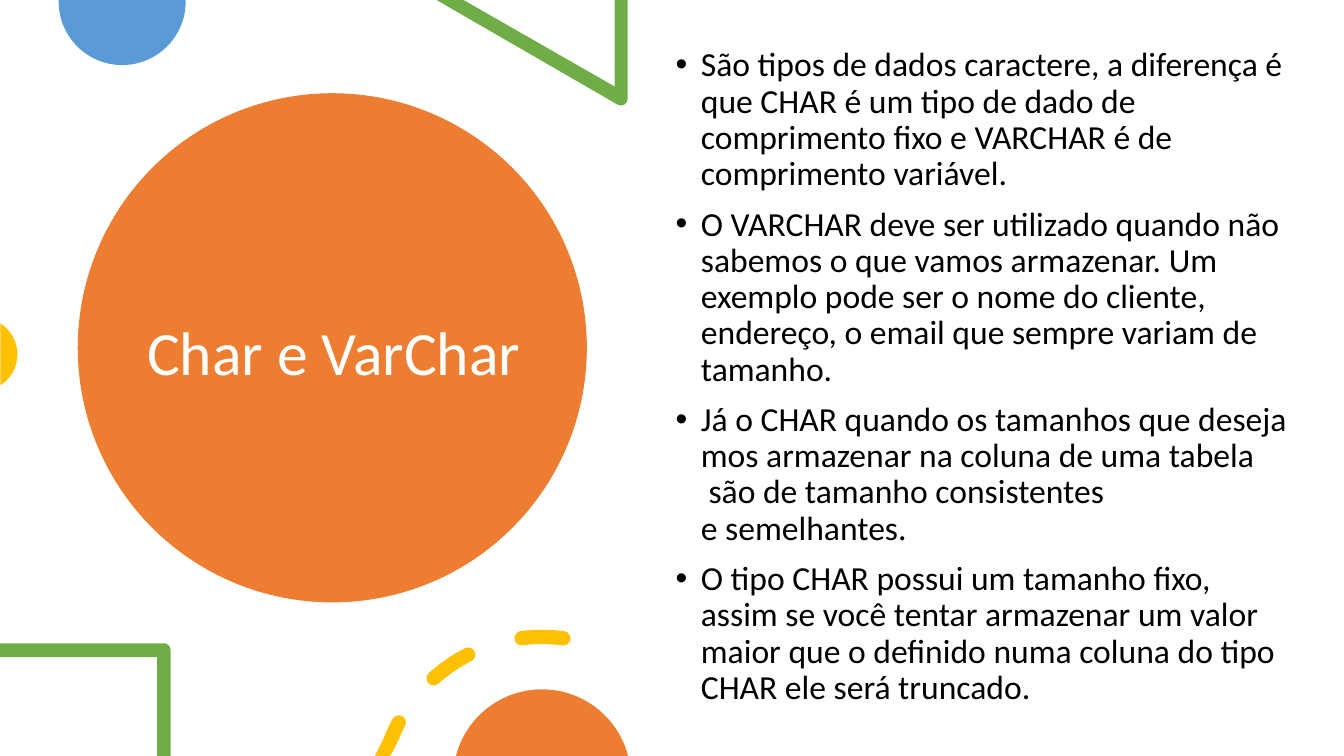
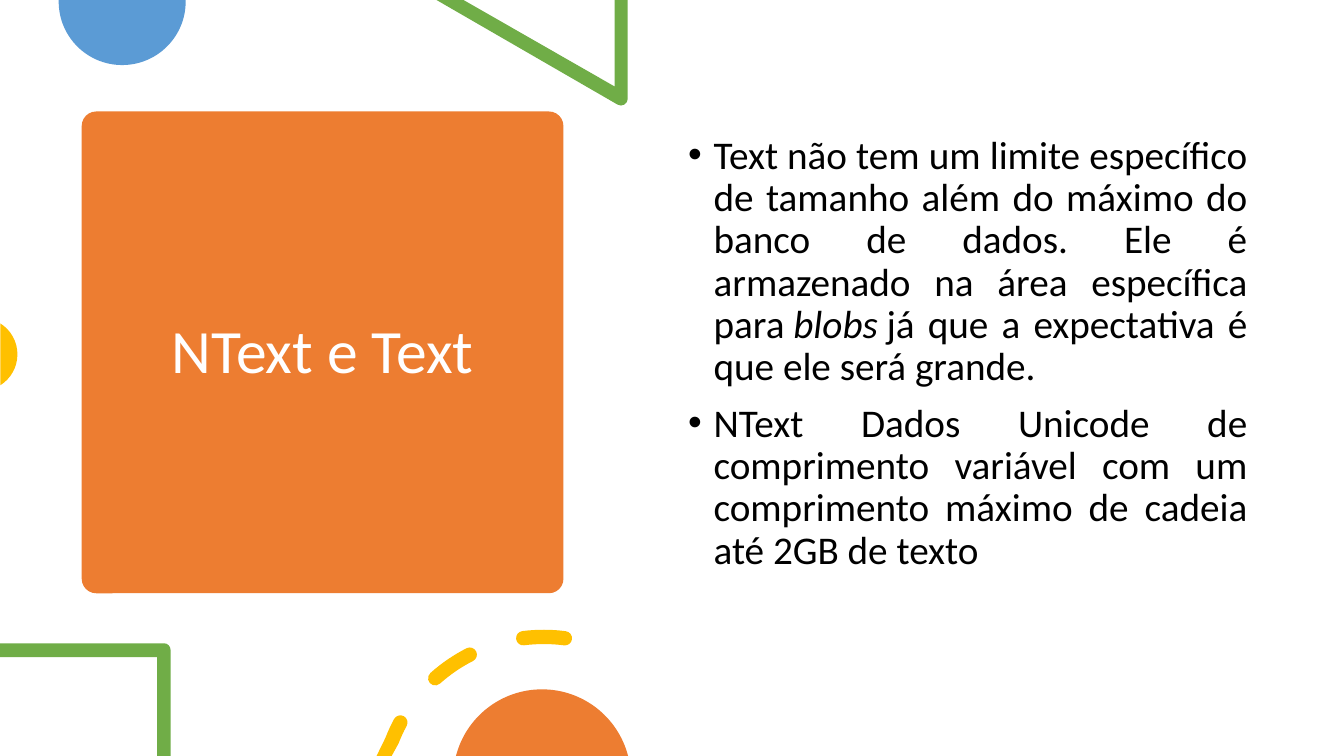
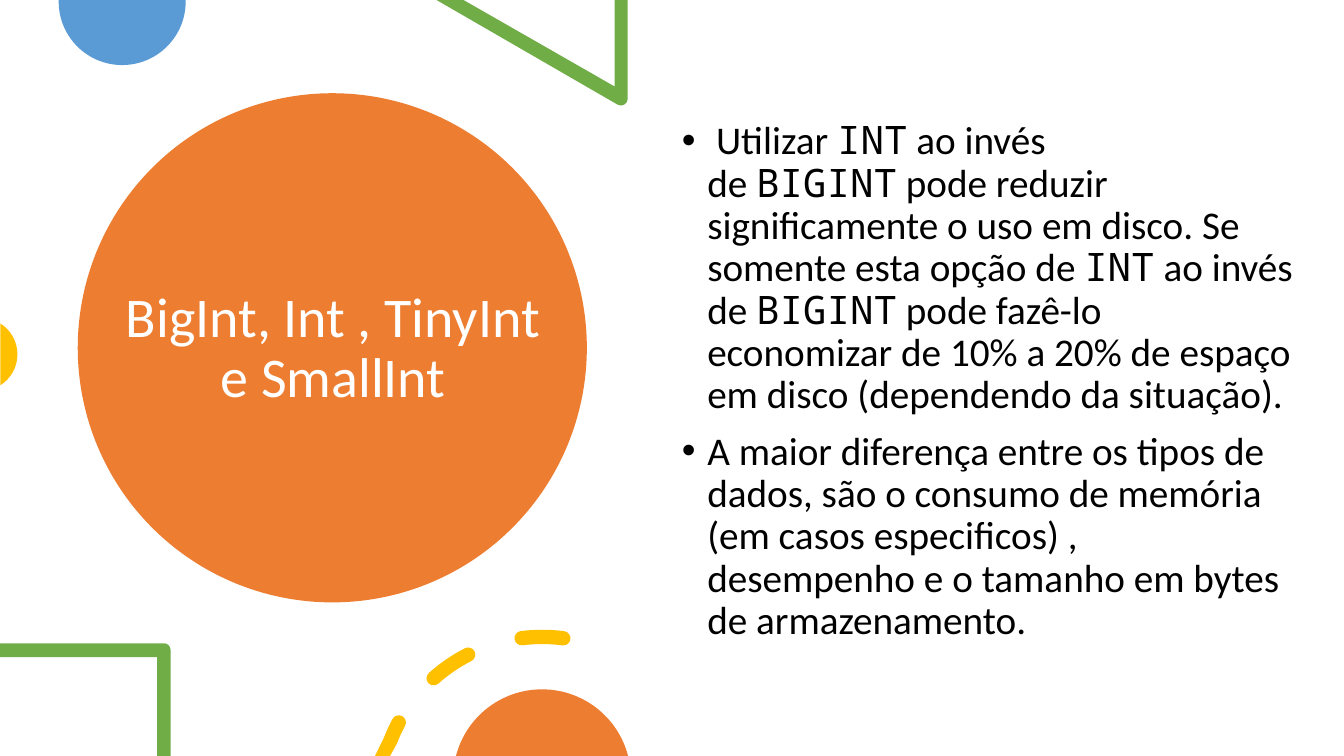
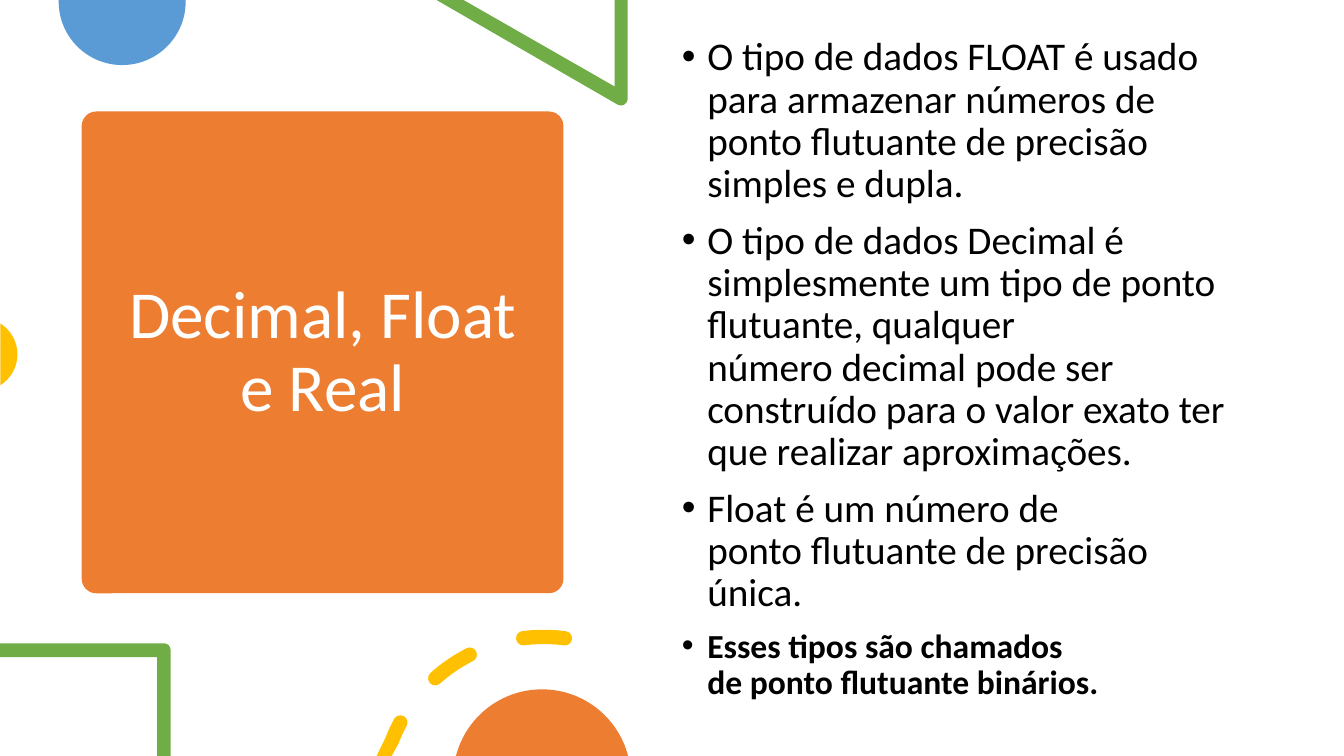
import math
from dataclasses import dataclass

import pptx
import pptx.dml.color
import pptx.enum.shapes
import pptx.enum.text
import pptx.oxml
import pptx.oxml.ns
import pptx.util
from pptx.util import Cm

Point = tuple[float, float]
Stroke = list[Point]  # one point for a line, three for a Bézier curve
Contour = list[Stroke]
RGB = pptx.dml.color.RGBColor
SHAPE = pptx.enum.shapes.MSO_SHAPE
ALIGN = pptx.enum.text.PP_ALIGN


# Theme: colours, fonts and type sizes
@dataclass(frozen=True)
class Theme:
    orange: RGB = RGB(0xED, 0x7D, 0x31)
    blue: RGB = RGB(0x5B, 0x9B, 0xD5)
    green: RGB = RGB(0x70, 0xAD, 0x47)
    yellow: RGB = RGB(0xFF, 0xC0, 0x00)
    white: RGB = RGB(0xFF, 0xFF, 0xFF)
    black: RGB = RGB(0x00, 0x00, 0x00)
    font: str = "Calibri"
    code_font: str = "Noto Sans Mono"
    title_large: int = 48
    title_normal: int = 44
    title_small: int = 40
    body_large: int = 28
    body_normal: int = 24
    line_spacing: float = 0.9
    space_before: int = 10
    bullet_indent: float = 0.64


THEME = Theme()


# Content model, lengths in centimetres
@dataclass(frozen=True)
class Box:
    left: float
    top: float
    width: float
    height: float

    def lengths(self) -> tuple[int, int, int, int]:
        return Cm(self.left), Cm(self.top), Cm(self.width), Cm(self.height)


@dataclass(frozen=True)
class Words:
    text: str  # "~" stands for a non-breaking space
    code: bool = False
    italic: bool = False
    bold: bool = False
    size: int | None = None


@dataclass(frozen=True)
class Panel:
    preset: int
    box: Box
    dash_shift: float = 0


@dataclass(frozen=True)
class Lesson:
    title: str
    title_size: int
    title_box: Box
    panel: Panel
    body_box: Box
    body_size: int
    bullets: list[list[Words]]
    align: int = ALIGN.LEFT


@dataclass(frozen=True)
class Ornament:
    colour: RGB
    contours: list[Contour]


# Outlines
def lines(*points: Point) -> Contour:
    return [[point] for point in points]


def arc(x: float, y: float, radius: float, start: float, end: float) -> Contour:
    """Arc as Bézier curves; angles in degrees, clockwise from the right."""
    count = math.ceil(abs(end - start) / 90)
    step = math.radians(end - start) / count
    pull = 4 / 3 * math.tan(step / 4)

    def at(angle: float, tangent: float) -> Point:
        across, down = math.cos(angle), math.sin(angle)
        return x + radius * (across - tangent * down), y + radius * (down + tangent * across)

    first = math.radians(start)
    contour = lines(at(first, 0))
    for i in range(count):
        a, b = first + i * step, first + (i + 1) * step
        contour.append([at(a, pull), at(b, -pull), at(b, 0)])
    return contour


def join(*parts: Contour) -> Contour:
    """Chain parts, dropping the start of a part that continues the one before."""
    contour: Contour = []
    for part in parts:
        meets = contour and math.dist(contour[-1][-1], part[0][0]) < 0.01
        contour += part[1:] if meets else part
    return contour


def ring_dash(x: float, start: float, end: float, runs_off: bool = False) -> Contour:
    """Round-ended dash of the yellow ring, or one that runs off the slide's bottom."""
    y, radius, half = 20.15, 4.1, 0.18

    def cap(angle: float, turn: float) -> Contour:
        a = math.radians(angle)
        centre = x + radius * math.cos(a), y + radius * math.sin(a)
        return arc(*centre, half, angle + turn, angle + turn + 180)

    dash = join(
        arc(x, y, radius + half, start, end),
        cap(end, 0),
        arc(x, y, radius - half, end, start),
    )
    tail = lines((x - 3.83, 19.05), (x - 4.21, 19.05)) if runs_off else cap(start, 180)
    return join(dash, tail)


def ornaments(dash_shift: float) -> list[Ornament]:
    ring_x = 13.66 + dash_shift
    triangle = join(
        lines((15.82, 0), (15.49, 0), (15.49, 2.18), (11.68, 0), (11, 0)),
        arc(15.65, 2.49, 0.17, 120, 0),
    )
    square = join(
        lines((0, 16.56), (0, 16.21)),
        arc(4.13, 16.38, 0.17, -90, 0),
        lines((4.3, 19.05), (3.96, 19.05), (3.96, 16.56)),
    )
    dashes = [
        ring_dash(ring_x, 201.2, 208.3, runs_off=True),
        ring_dash(ring_x, 228.2, 243),
        ring_dash(ring_x, 262.8, 277.5),
    ]
    blue_disc = join(lines((1.48, 0), (4.68, 0)), arc(3.08, 0.04, 1.6, 0, 180))
    return [
        Ornament(THEME.blue, [blue_disc]),
        Ornament(THEME.green, [triangle]),
        Ornament(THEME.yellow, [arc(-0.48, 8.93, 0.92, -58, 58)]),
        Ornament(THEME.green, [square]),
        Ornament(THEME.yellow, dashes),
        Ornament(THEME.orange, [arc(13.66, 19.61, 2.24, 194.5, 345.5)]),
    ]


# Drawing functions
def paint(shape, colour: RGB) -> None:
    shape.shadow.inherit = False
    shape.fill.solid()
    shape.fill.fore_color.rgb = colour
    shape.line.fill.background()


def bend(shape, contours: list[Contour]) -> None:
    """Turn the segments through each curve's control points into that curve."""
    qn = pptx.oxml.ns.qn
    segments = iter(list(shape.element.iter(qn("a:lnTo"))))
    for contour in contours:
        for stroke in contour[1:]:
            first, *others = [next(segments) for _ in stroke]
            if others:
                first.tag = qn("a:cubicBezTo")
            for segment in others:
                first.append(segment[0])
                segment.getparent().remove(segment)


def draw_ornament(slide, ornament: Ornament) -> None:
    builder = None
    for contour in ornament.contours:
        first, *rest = [(Cm(x), Cm(y)) for stroke in contour for x, y in stroke]
        if builder is None:
            builder = slide.shapes.build_freeform(*first)
        else:
            builder.move_to(*first)
        builder.add_line_segments(rest, close=True)
    shape = builder.convert_to_shape()
    bend(shape, ornament.contours)
    paint(shape, ornament.colour)


def place(placeholder, box: Box, anchor: int):
    placeholder.left, placeholder.top, placeholder.width, placeholder.height = box.lengths()
    frame = placeholder.text_frame
    frame.word_wrap = True
    frame.auto_size = pptx.enum.text.MSO_AUTO_SIZE.NONE
    frame.vertical_anchor = anchor
    return frame


def add_words(paragraph, words: Words, size: int, colour: RGB) -> None:
    run = paragraph.add_run()
    run.text = words.text.replace("~", "\u00a0")
    run.font.name = THEME.code_font if words.code else THEME.font
    run.font.size = pptx.util.Pt(words.size or size)
    run.font.color.rgb = colour
    run.font.bold = words.bold
    run.font.italic = words.italic


def set_bullet(paragraph) -> None:
    properties = paragraph._p.get_or_add_pPr()
    indent = Cm(THEME.bullet_indent)
    properties.set("marL", str(indent))
    properties.set("indent", str(-indent))
    for tag, key, value in (("buFont", "typeface", "Arial"), ("buChar", "char", "•")):
        mark = pptx.oxml.parse_xml(f'<a:{tag} {pptx.oxml.ns.nsdecls("a")} {key}="{value}"/>')
        properties.append(mark)


def draw_title(slide, lesson: Lesson) -> None:
    title = slide.shapes.title
    frame = place(title, lesson.title_box, pptx.enum.text.MSO_ANCHOR.MIDDLE)
    heading = frame.paragraphs[0]
    heading.alignment = ALIGN.CENTER
    heading.line_spacing = THEME.line_spacing
    add_words(heading, Words(lesson.title), lesson.title_size, THEME.white)

    # The panel goes behind its title
    panel = slide.shapes.add_shape(lesson.panel.preset, *lesson.panel.box.lengths())
    if lesson.panel.preset == SHAPE.ROUNDED_RECTANGLE:
        panel.adjustments[0] = 0.03
    paint(panel, THEME.orange)
    title.element.addprevious(panel.element)


def draw_body(slide, lesson: Lesson) -> None:
    body = slide.placeholders[1]
    frame = place(body, lesson.body_box, pptx.enum.text.MSO_ANCHOR.TOP)
    for index, bullet in enumerate(lesson.bullets):
        paragraph = frame.add_paragraph() if index else frame.paragraphs[0]
        paragraph.alignment = lesson.align
        paragraph.line_spacing = THEME.line_spacing
        paragraph.space_before = pptx.util.Pt(THEME.space_before)
        set_bullet(paragraph)
        for words in bullet:
            add_words(paragraph, words, lesson.body_size, THEME.black)


def draw_lesson(deck, lesson: Lesson) -> None:
    slide = deck.slides.add_slide(deck.slide_layouts[1])
    draw_title(slide, lesson)
    draw_body(slide, lesson)
    for ornament in ornaments(lesson.panel.dash_shift):
        draw_ornament(slide, ornament)


# Content
ROUND = Panel(SHAPE.OVAL, Box(1.96, 2.35, 12.83, 12.83))
SQUARE = Panel(SHAPE.ROUNDED_RECTANGLE, Box(2.06, 2.81, 12.14, 12.14), dash_shift=0.04)
SQUARE_TITLE = Box(2.66, 3.11, 10.95, 11.58)
INT = Words("INT", code=True)
BIGINT = Words("BIGINT", code=True)

LESSONS = [
    Lesson(
        "Char e VarChar", THEME.title_normal, Box(2.94, 3.3, 10.95, 11.3), ROUND,
        Box(16.77, 1.08, 15.93, 17.3), THEME.body_normal,
        [
            [Words("São tipos de dados caractere, a diferença é que CHAR é um tipo de dado "
                   "de comprimento fixo e VARCHAR é de comprimento variável.")],
            [Words("O VARCHAR deve ser utilizado quando não sabemos o que vamos armazenar. "
                   "Um exemplo pode ser o nome do cliente, endereço, o email que sempre "
                   "variam de tamanho.")],
            [Words("Já~o~CHAR~quando~os~tamanhos~que~desejamos~armazenar~na~coluna~de~uma"
                   "~tabela~ ~são~de~tamanho~consistentes e~semelhantes.")],
            [Words("O tipo CHAR possui um tamanho fixo, assim se você tentar armazenar um "
                   "valor maior que o definido numa coluna do tipo CHAR ele será truncado.")],
        ],
    ),
    Lesson(
        "NText e Text", THEME.title_normal, SQUARE_TITLE, SQUARE,
        Box(17.09, 3.28, 14.6, 6.22), THEME.body_large,
        [
            [Words("Text~não tem um limite específico de tamanho além do máximo do banco de "
                   "dados. Ele é armazenado na área específica para~"),
             Words("blobs", italic=True),
             Words("~já que a expectativa é que ele será grande.")],
            [Words("NText Dados Unicode de comprimento variável com um comprimento máximo de "
                   "cadeia até 2GB de texto")],
        ],
        ALIGN.JUSTIFY,
    ),
    Lesson(
        "BigInt, Int ,~TinyInt e SmallInt", THEME.title_small,
        Box(2.78, 3.15, 11.23, 11.3), ROUND,
        Box(16.93, 2.92, 15.93, 13.23), THEME.body_large,
        [
            [Words("~Utilizar~"), INT, Words("~ao invés de~"), BIGINT,
             Words("~pode reduzir significamente o uso em disco. Se somente esta opção de~"),
             INT, Words("~ao invés de~"), BIGINT,
             Words("~pode fazê-lo economizar de 10% a 20% de espaço em disco (dependendo da "
                   "situação).~")],
            [Words("A maior diferença entre os~tipos de dados, são o consumo de memória (em "
                   "casos especificos) , desempenho e o tamanho em bytes de armazenamento.")],
        ],
    ),
    Lesson(
        "Decimal, Float e Real", THEME.title_large, SQUARE_TITLE, SQUARE,
        Box(16.93, 0.8, 14.6, 17.22), THEME.body_large,
        [
            [Words("O tipo de dados FLOAT é usado para armazenar números de ponto flutuante "
                   "de precisão simples e dupla.")],
            [Words("O~tipo de dados Decimal~é simplesmente um~tipo~de ponto flutuante, "
                   "qualquer número~decimal~pode ser construído para o valor exato ter que "
                   "realizar aproximações.")],
            [Words("Float é um número de ponto~flutuante de precisão única.")],
            [Words("Esses tipos são chamados de~ponto~flutuante binários.", bold=True,
                   size=THEME.body_normal)],
        ],
    ),
]

# Build the deck
deck = pptx.Presentation()
deck.slide_width, deck.slide_height = Cm(33.87), Cm(19.05)
for lesson in LESSONS:
    draw_lesson(deck, lesson)
deck.save("out.pptx")
